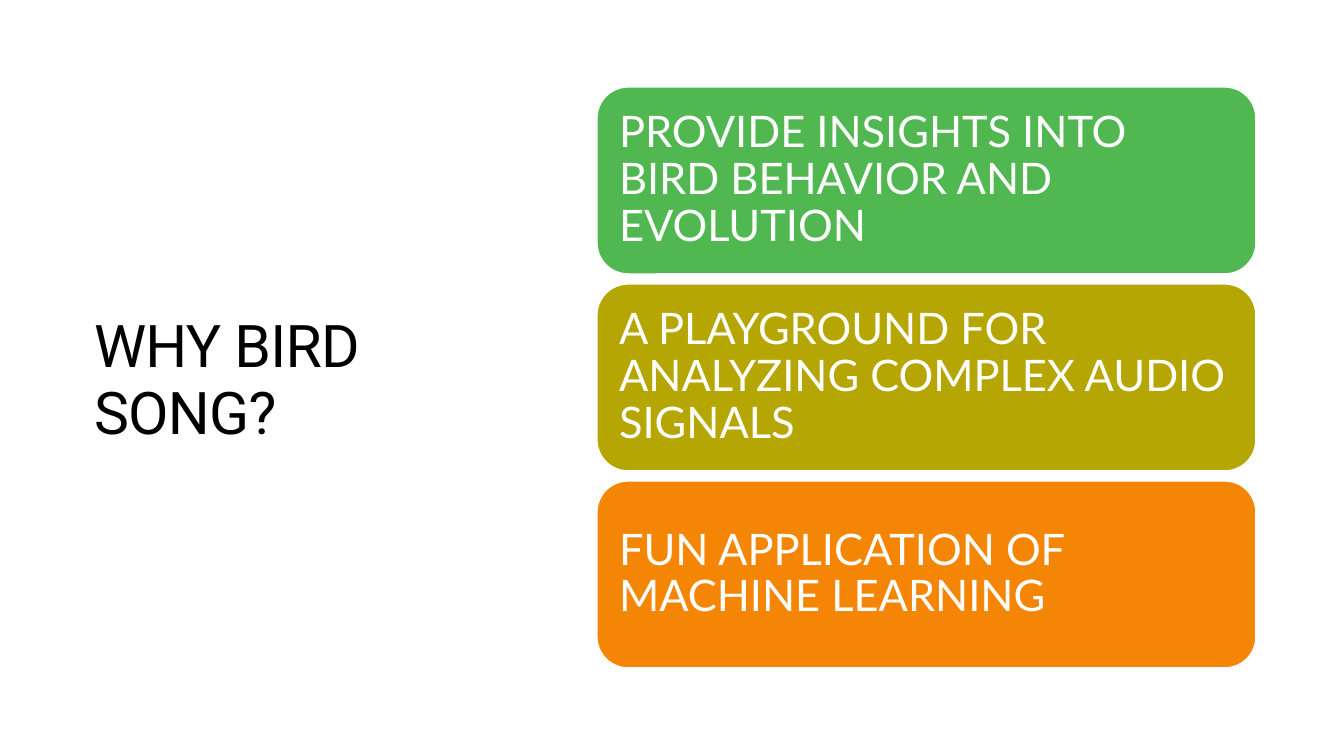
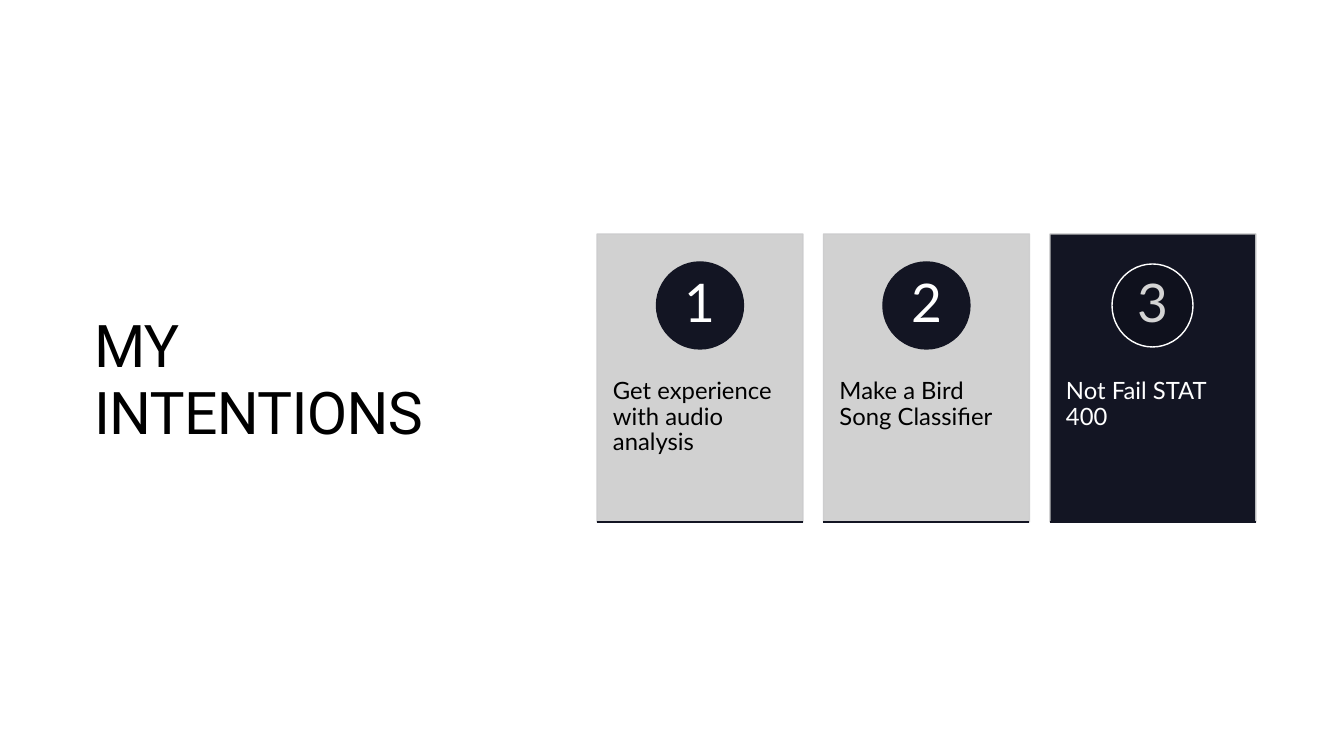
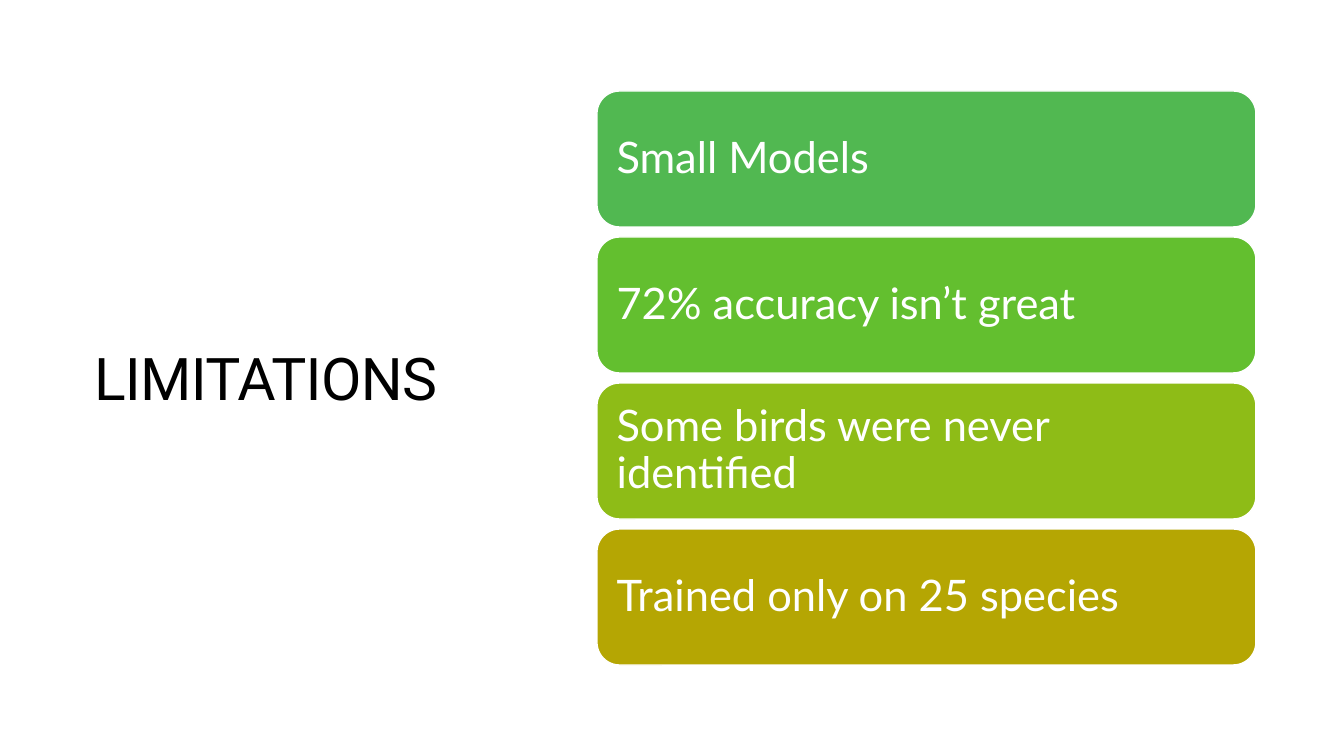
from dataclasses import dataclass

from pptx import Presentation
from pptx import util as u
from pptx.dml.color import RGBColor
from pptx.enum import shapes, text
from pptx.oxml import parse_xml
from pptx.oxml.ns import nsdecls

PX = 914400 / 100.8  # EMU per px
SLIDE_W, SLIDE_H = 1344, 756


@dataclass(frozen=True)
class Theme:
    heading_font: str = "Roboto"
    body_font: str = "Lato"
    title_pt: int = 42
    number_pt: int = 38
    bar_pt: int = 31
    card_pt: int = 17
    black: str = "000000"
    white: str = "FFFFFF"
    navy: str = "131523"
    grey: str = "CCCCCD"
    green: str = "51B851"
    lime: str = "63BF2F"
    moss: str = "8EBC17"
    olive: str = "B5A603"
    orange: str = "F58505"


theme = Theme()


def write(shape, words, size, color, font=theme.body_font, align=text.PP_ALIGN.LEFT,
          anchor=text.MSO_ANCHOR.MIDDLE, insets=(10, 5, 10, 5), leading=0.9, tracking=0):
    """Fill a shape with one formatted paragraph; insets are left, top, right, bottom."""
    frame = shape.text_frame
    frame.word_wrap = True
    frame.auto_size = text.MSO_AUTO_SIZE.NONE
    frame.vertical_anchor = anchor
    (frame.margin_left, frame.margin_top,
     frame.margin_right, frame.margin_bottom) = (round(v * PX) for v in insets)
    paragraph = frame.paragraphs[0]
    paragraph.alignment = align
    paragraph.line_spacing = leading
    run = paragraph.add_run()
    run.text = words
    run.font.name = font
    run.font.size = u.Pt(size)
    run.font.color.rgb = RGBColor.from_string(color)
    if tracking:
        run.font._element.set("spc", str(round(tracking * 100)))


def draw(slide, kind, box, fill, line, fill_alpha=100, line_alpha=100):
    """Add a preset shape with a flat fill and a 1 pt outline; alphas are percent."""
    shape = slide.shapes.add_shape(kind, *(round(v * PX) for v in box))
    shape.shadow.inherit = False
    shape.fill.solid()
    shape.fill.fore_color.rgb = RGBColor.from_string(fill)
    shape.line.color.rgb = RGBColor.from_string(line)
    shape.line.width = u.Pt(1)
    for part, alpha in (("a:solidFill", fill_alpha), ("a:ln/a:solidFill", line_alpha)):
        if alpha < 100:
            color = shape.element.spPr.xpath(f"./{part}/a:srgbClr")[0]
            color.append(parse_xml(f'<a:alpha {nsdecls("a")} val="{alpha * 1000}"/>'))
    return shape


deck = Presentation()
deck.slide_width, deck.slide_height = round(SLIDE_W * PX), round(SLIDE_H * PX)

# Shared title position
title_layout = deck.slide_layouts[5]
layout_title = title_layout.placeholders[0]
layout_title.left, layout_title.top, layout_title.width, layout_title.height = (
    round(v * PX) for v in (84, 86, 430, 589))

# Slides with their titles
slides = []
for heading in ("WHY BIRD SONG?", "MY INTENTIONS", "LIMITATIONS"):
    slide = deck.slides.add_slide(title_layout)
    write(slide.shapes.title, heading, theme.title_pt, theme.black,
          font=theme.heading_font, leading=0.95, tracking=-0.5)
    slides.append(slide)
why_slide, intentions_slide, limitations_slide = slides

# Stacked bars: reasons and limitations
CONTENT_X, CONTENT_W, BAR_GAP = 597, 659, 10
reasons = [
    ("PROVIDE INSIGHTS INTO BIRD BEHAVIOR AND EVOLUTION", theme.green),
    ("A PLAYGROUND FOR ANALYZING COMPLEX AUDIO SIGNALS", theme.olive),
    ("FUN APPLICATION OF MACHINE LEARNING", theme.orange),
]
limitations = [
    ("Small Models", theme.green),
    ("72% accuracy isn’t great", theme.lime),
    ("Some birds were never identified", theme.moss),
    ("Trained only on 25 species", theme.olive),
]
for slide, bars, bar_h in ((why_slide, reasons, 187), (limitations_slide, limitations, 136)):
    pitch = bar_h + BAR_GAP
    first_y = (SLIDE_H - len(bars) * pitch + BAR_GAP) // 2
    for row, (words, color) in enumerate(bars):
        bar = draw(slide, shapes.MSO_SHAPE.ROUNDED_RECTANGLE,
                   (CONTENT_X, first_y + row * pitch, CONTENT_W, bar_h), color, theme.white)
        write(bar, words, theme.bar_pt, theme.white, insets=(13, 13, 13, 13))

# Numbered cards: intentions
CARD_Y, CARD_W, CARD_H = 234, 206, 288
CARD_PITCH = (CONTENT_W - CARD_W) / 2
BADGE_Y, BADGE = 262, 87
intentions = [
    ("Get experience with audio analysis", theme.grey, 90, theme.black),
    ("Make a Bird Song Classifier", theme.grey, 90, theme.black),
    ("Not Fail STAT 400", theme.navy, 100, theme.white),
]
for column, (words, fill, alpha, ink) in enumerate(intentions):
    card_x = CONTENT_X + column * CARD_PITCH
    card = draw(intentions_slide, shapes.MSO_SHAPE.RECTANGLE,
                (card_x, CARD_Y, CARD_W, CARD_H), fill, theme.grey,
                fill_alpha=alpha, line_alpha=90)
    write(card, words, theme.card_pt, ink, anchor=text.MSO_ANCHOR.TOP,
          insets=(16, 145, 16, 36))

    badge = draw(intentions_slide, shapes.MSO_SHAPE.OVAL,
                 (card_x + (CARD_W - BADGE) / 2, BADGE_Y, BADGE, BADGE),
                 theme.navy, theme.navy)
    write(badge, str(column + 1), theme.number_pt, theme.white,
          align=text.PP_ALIGN.CENTER, insets=(7, 1, 7, 1))

    base_y = CARD_Y + CARD_H
    base_rule = intentions_slide.shapes.add_connector(
        shapes.MSO_CONNECTOR.STRAIGHT,
        *(round(v * PX) for v in (card_x, base_y, card_x + CARD_W, base_y)))
    base_rule.line.color.rgb = RGBColor.from_string(theme.navy)
    base_rule.line.width = u.Pt(1)
    base_rule.element.spPr.append(parse_xml(f'<a:effectLst {nsdecls("a")}/>'))

# Ring that dims the last number
draw(intentions_slide, shapes.MSO_SHAPE.OVAL, (1112, 264, 81, 83),
     theme.black, theme.white, fill_alpha=17)

deck.save("out.pptx")
